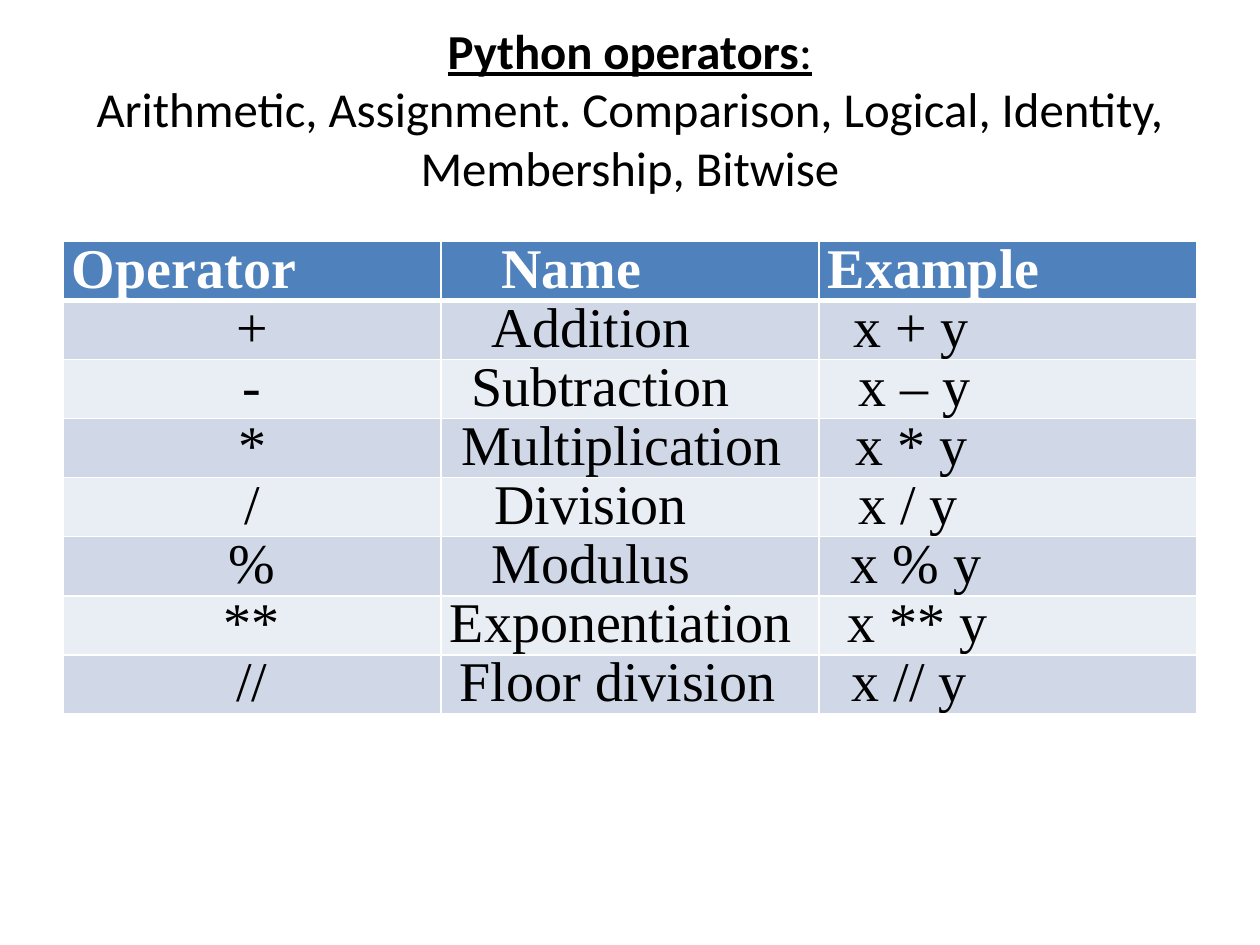
"""Build a slide listing the Python arithmetic operators in a table."""
from lxml.etree import SubElement
from pptx import Presentation
from pptx.dml.color import RGBColor
from pptx.enum.text import MSO_ANCHOR as Anchor, PP_ALIGN as Align
from pptx.oxml.ns import qn
from pptx.util import Cm, Pt

TITLE = [
    [("Python operators", True, True), (":", False, True)],
    [("Arithmetic, Assignment. Comparison, Logical, Identity, Membership, Bitwise", False, False)],
]
HEADER = [("Operator", 0.18), ("Name", 1.22), ("Example", 0.18)]
OPERATORS = [
    ("+", ("Addition", 1.02), ("x + y", 0.69)),
    ("-", ("Subtraction", 0.61), ("x – y", 0.79)),
    ("*", ("Multiplication", 0.41), ("x * y", 0.74)),
    ("/", ("Division", 1.07), ("x / y", 0.79)),
    ("%", ("Modulus", 1.02), ("x % y", 0.64)),
    ("**", ("Exponentiation", 0.18), ("x ** y", 0.58)),
    ("//", ("Floor division", 0.38), ("x // y", 0.66)),
]
HEADER_FILL, BAND_FILLS = "4F81BD", ("E9EDF4", "D0D8E8")
WHITE, BLACK = "FFFFFF", "000000"
MARGIN, WIDTH = 1.27, 22.86
TITLE_HEIGHT, TITLE_INSET = 4.01, 0.41
TABLE_TOP, ROW_HEIGHT = 4.87, 1.19
LINE_SPACING = 33.7


def color(value):
    return RGBColor.from_string(value)


def add_run(paragraph, text, font_name, size, font_color, bold=False, underline=False):
    run = paragraph.add_run()
    run.text = text
    font = run.font
    font.name, font.size = font_name, Pt(size)
    font.bold, font.underline = bold, underline
    font.color.rgb = color(font_color)


def set_borders(cell, widths):
    properties = cell._tc.get_or_add_tcPr()
    for side, width in widths.items():
        line = SubElement(properties, qn(f"a:ln{side}"), w=str(Pt(width)))
        fill = SubElement(line, qn("a:solidFill"))
        SubElement(fill, qn("a:srgbClr"), val=WHITE)


def add_title(slide):
    shape = slide.shapes.add_textbox(Cm(MARGIN), Cm(0), Cm(WIDTH), Cm(TITLE_HEIGHT))
    frame = shape.text_frame
    frame.word_wrap = True
    frame.vertical_anchor = Anchor.TOP
    frame.margin_top, frame.margin_bottom = Cm(TITLE_INSET), Cm(0)
    for index, runs in enumerate(TITLE):
        paragraph = frame.add_paragraph() if index else frame.paragraphs[0]
        paragraph.alignment = Align.CENTER
        for text, bold, underline in runs:
            add_run(paragraph, text, "Calibri", 27.9, BLACK, bold, underline)


def fill_cell(cell, content, is_header, fill):
    set_borders(cell, {"L": 1, "R": 1, "T": 1, "B": 3 if is_header else 1})
    cell.fill.solid()
    cell.fill.fore_color.rgb = color(fill)
    cell.margin_top = cell.margin_right = cell.margin_bottom = cell.margin_left = 0
    paragraph = cell.text_frame.paragraphs[0]
    paragraph.line_spacing = Pt(LINE_SPACING)
    if isinstance(content, tuple):
        text, indent = content
        cell.margin_left = Cm(indent)
    else:
        text = content
        paragraph.alignment = Align.CENTER
    add_run(paragraph, text, "Times New Roman", 32, WHITE if is_header else BLACK, is_header)


def add_operator_table(slide):
    rows = [HEADER, *OPERATORS]
    table = slide.shapes.add_table(
        len(rows), len(HEADER), Cm(MARGIN), Cm(TABLE_TOP), Cm(WIDTH), Cm(ROW_HEIGHT * len(rows))
    ).table
    for row_index, row in enumerate(rows):
        table.rows[row_index].height = Cm(ROW_HEIGHT)
        fill = BAND_FILLS[row_index % 2] if row_index else HEADER_FILL
        for column_index, content in enumerate(row):
            fill_cell(table.cell(row_index, column_index), content, row_index == 0, fill)


def main():
    presentation = Presentation()
    presentation.slide_width, presentation.slide_height = Cm(25.4), Cm(19.05)
    slide = presentation.slides.add_slide(presentation.slide_layouts[6])
    add_title(slide)
    add_operator_table(slide)
    presentation.save("out.pptx")


if __name__ == "__main__":
    main()
